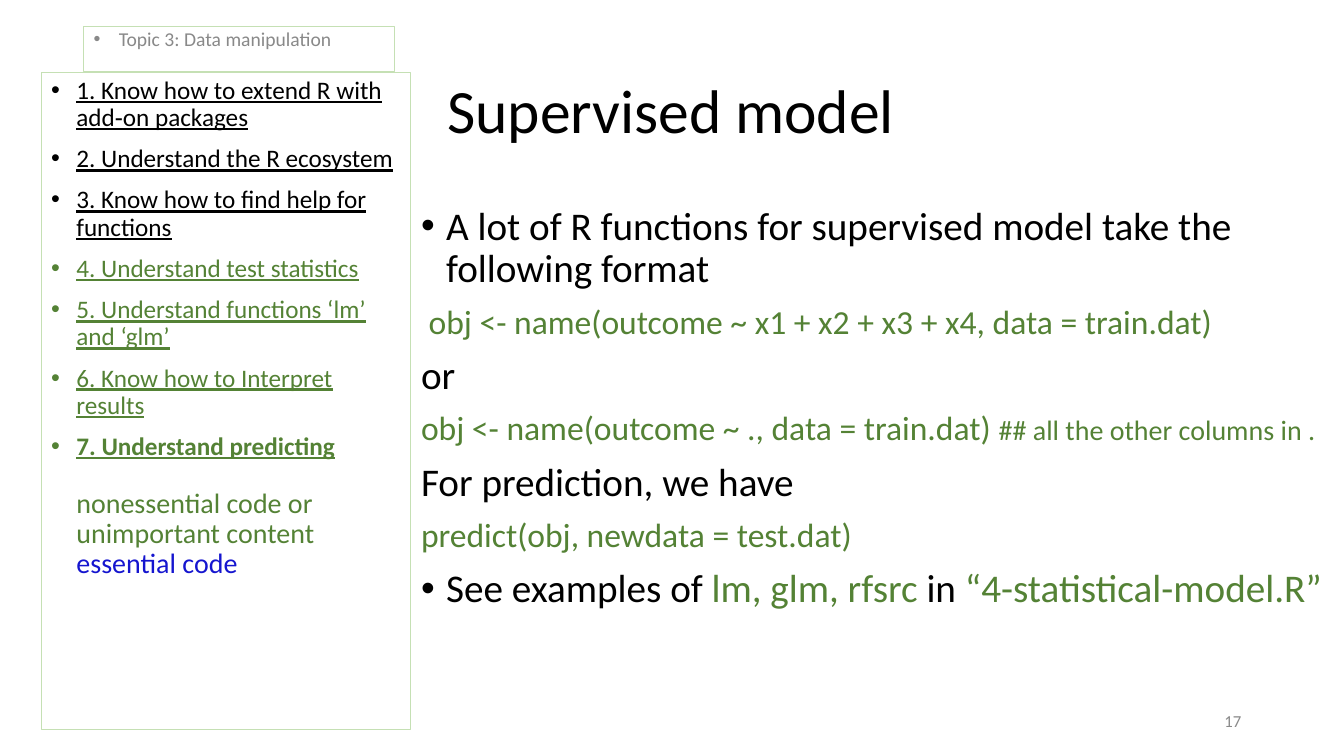
import pptx
import pptx.dml.color
import pptx.enum.shapes
import pptx.enum.text
import pptx.oxml.ns
import pptx.util
from lxml import etree

Pt = pptx.util.Pt
ALIGN = pptx.enum.text.PP_ALIGN
ANCHOR = pptx.enum.text.MSO_ANCHOR
BLACK, GREEN, BLUE, GRAY, PALE_GREEN = "000000", "548235", "1515CF", "898989", "C5E0B4"


def rgb(value):
    return pptx.dml.color.RGBColor.from_string(value)


def run(text, **fmt):
    """A piece of text with its format: size, color, bold, underline."""
    return text, fmt


def para(*runs, bullet=None, hang=18, before=10, line=0.9, align=ALIGN.LEFT):
    return dict(runs=runs, bullet=bullet, hang=hang, before=before, line=line, align=align)


class SlideBuilder:
    font = "Calibri"

    def __init__(self, prs):
        self.s = prs.slides.add_slide(prs.slide_layouts[6])

    def text(self, box, paras, anchor=ANCHOR.TOP):
        sp = self.s.shapes.add_textbox(*map(Pt, box))
        self.fill_text(sp, paras, anchor)

    def frame(self, box, paras):
        rect = pptx.enum.shapes.MSO_SHAPE.RECTANGLE
        sp = self.s.shapes.add_shape(rect, *map(Pt, box))
        sp.shadow.inherit = False
        sp.fill.background()
        sp.line.color.rgb = rgb(PALE_GREEN)
        sp.line.width = Pt(0.75)
        self.fill_text(sp, paras, ANCHOR.TOP)

    def fill_text(self, sp, paras, anchor):
        tf = sp.text_frame
        tf.word_wrap = True
        tf.vertical_anchor = anchor
        for i, item in enumerate(paras):
            p = tf.add_paragraph() if i else tf.paragraphs[0]
            p.alignment = item["align"]
            p.line_spacing = item["line"]
            p.space_before = Pt(item["before"] if i else 0)
            self.indent(p, item["hang"], item["bullet"])
            for text, fmt in item["runs"]:
                self.add_run(p, text, **fmt)

    def indent(self, p, hang, bullet):
        pPr = p._p.get_or_add_pPr()
        pPr.set("marL", str(Pt(hang)))
        pPr.set("indent", str(-Pt(hang) if bullet else 0))
        qn = pptx.oxml.ns.qn
        if bullet:
            clr = etree.SubElement(pPr, qn("a:buClr"))
            etree.SubElement(clr, qn("a:srgbClr"), val=bullet)
            etree.SubElement(pPr, qn("a:buFont"), typeface="Arial")
            etree.SubElement(pPr, qn("a:buChar"), char="•")
        else:
            etree.SubElement(pPr, qn("a:buNone"))

    def add_run(self, p, text, size=28, color=BLACK, bold=False, underline=False):
        r = p.add_run()
        r.text = text
        r.font.name = self.font
        r.font.size = Pt(size)
        r.font.color.rgb = rgb(color)
        r.font.bold = bold
        r.font.underline = underline


def goal(text, color, bold=False):
    return para(run(text, size=18, color=color, bold=bold, underline=True), bullet=color)


def code(text, *more):
    return para(run(text, size=24, color=GREEN), *more, hang=0)


def main():
    prs = pptx.Presentation()
    prs.slide_width, prs.slide_height = Pt(960.5), Pt(540)
    slide = SlideBuilder(prs)

    # Title
    slide.text((312.5, 28.8, 581, 104.4),
               [para(run("Supervised model", size=44), hang=0)], ANCHOR.MIDDLE)

    # Main content
    slide.text((293.8, 144, 659.5, 342.7), [
        para(run("A lot of R functions for supervised model take the following format"),
             bullet=BLACK),
        code(" obj <- name(outcome ~ x1 + x2 + x3 + x4, data = train.dat)"),
        para(run("or"), hang=0),
        code("obj <- name(outcome ~ ., data = train.dat) ",
             run("## all the other columns in .", size=20, color=GREEN)),
        para(run("For prediction, we have"), hang=0),
        code("predict(obj, newdata = test.dat)"),
        para(run("See examples of "), run("lm, glm, rfsrc", color=GREEN), run(" in "),
             run("“4-statistical-model.R”", color=GREEN), bullet=BLACK),
    ])

    # Slide number
    slide.text((678.2, 500.4, 216, 28.8),
               [para(run("17", size=12, color=GRAY), hang=0, line=1.0, align=ALIGN.RIGHT)],
               ANCHOR.MIDDLE)

    # Topic tab
    slide.frame((59.8, 18.7, 222.5, 32.4),
                [para(run("Topic 3: Data manipulation", size=14, color=GRAY),
                      bullet=GRAY, line=0.8)])

    # Sidebar: learning goals and colour legend
    slide.frame((29.5, 51.8, 264.2, 469.4), [
        goal("1. Know how to extend R with add‐on packages", BLACK),
        goal("2. Understand the R ecosystem", BLACK),
        goal("3. Know how to find help for functions", BLACK),
        goal("4. Understand test statistics", GREEN),
        goal("5. Understand functions ‘lm’ and ‘glm’", GREEN),
        goal("6. Know how to Interpret results", GREEN),
        goal("7. Understand predicting", GREEN, bold=True),
        para(run("nonessential code or unimportant content", size=20, color=GREEN), before=20),
        para(run("essential code", size=20, color=BLUE), before=0),
    ])

    prs.save("out.pptx")


if __name__ == "__main__":
    main()
